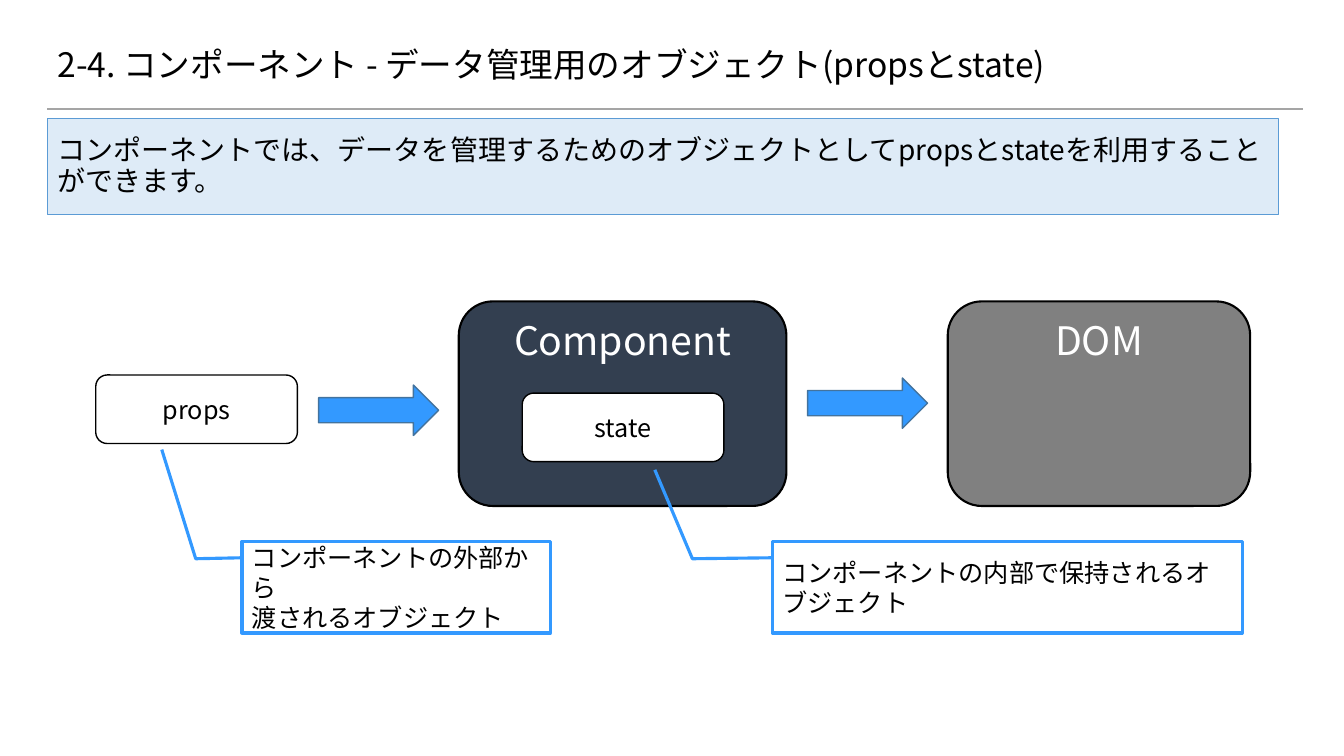
from dataclasses import dataclass

from lxml import etree
from pptx import Presentation, util as u
from pptx.dml.color import RGBColor
from pptx.enum import shapes, text
from pptx.oxml.ns import qn
from pptx.shapes.autoshape import Shape
from pptx.slide import Slide

KIND = shapes.MSO_SHAPE
ANCHOR = text.MSO_ANCHOR
ALIGN = text.PP_ALIGN


@dataclass(frozen=True)
class Theme:
    font: str = "Noto Sans CJK JP"
    black: str = "000000"
    white: str = "FFFFFF"
    rule: str = "A5A5A5"
    accent: str = "3399FF"
    arrow_line: str = "43739E"
    navy: str = "333F50"
    gray: str = "808080"
    lead_fill: str = "DEEBF7"
    lead_line: str = "5B9BD5"
    title: int = 24
    lead: int = 20
    heading: int = 28
    body: int = 18


T = Theme()


@dataclass(frozen=True)
class Style:
    kind: KIND
    fill: str
    line: str
    weight: float
    size: int = T.body
    color: str = T.black
    align: ALIGN = ALIGN.LEFT
    anchor: ANCHOR = ANCHOR.MIDDLE
    spacing: float = 1.0


@dataclass(frozen=True)
class Item:
    style: Style
    box: tuple[float, float, float, float]
    words: str = ""
    adjust: tuple[float, ...] = ()


LEAD = Style(KIND.RECTANGLE, T.lead_fill, T.lead_line, 0.75, T.lead, spacing=0.9)
COMPONENT = Style(KIND.ROUNDED_RECTANGLE, T.navy, T.black, 1.5, T.heading,
                  T.white, ALIGN.CENTER, ANCHOR.TOP)
DOM = Style(KIND.ROUNDED_RECTANGLE, T.gray, T.black, 1.5, T.heading,
            T.white, ALIGN.CENTER, ANCHOR.TOP)
DATA = Style(KIND.ROUNDED_RECTANGLE, T.white, T.black, 1, align=ALIGN.CENTER)
ARROW = Style(KIND.RIGHT_ARROW, T.accent, T.arrow_line, 1)
CALLOUT = Style(KIND.LINE_CALLOUT_2, T.white, T.accent, 2.25)

ITEMS = (
    Item(DATA, (0.95, 3.72, 2, 0.68), "props"),
    Item(ARROW, (3.16, 3.82, 1.19, 0.5)),
    Item(COMPONENT, (4.55, 2.99, 3.25, 2.03), "Component"),
    Item(DATA, (5.18, 3.9, 2, 0.68), "state"),
    Item(DOM, (9.4, 2.99, 3, 2.03), "DOM"),
    Item(LEAD, (0.47, 1.18, 12.21, 0.95),
         "コンポーネントでは、データを管理するためのオブジェクトとしてpropsとstateを利用することができます。"),
    Item(ARROW, (8.01, 3.75, 1.19, 0.5)),
    Item(CALLOUT, (7.66, 5.37, 4.66, 0.91),
         "コンポーネントの内部で保持されるオブジェクト",
         (0.18, 0, 0.19, -0.17, -0.78, -0.25)),
    Item(CALLOUT, (2.4, 5.37, 3.06, 0.91),
         "コンポーネントの外部から\n渡されるオブジェクト",
         (0.18, 0, 0.19, -0.15, -1, -0.26)),
)


def set_all(target: object, values: dict[str, object]) -> None:
    for name, value in values.items():
        setattr(target, name, value)


def write(sp: Shape, words: str, size: int, color: str, align: ALIGN,
          anchor: ANCHOR, spacing: float) -> None:
    tf = sp.text_frame
    tf.text = words
    set_all(tf, {"word_wrap": True, "auto_size": text.MSO_AUTO_SIZE.NONE,
                 "vertical_anchor": anchor})
    for p in tf.paragraphs:
        set_all(p, {"alignment": align, "line_spacing": spacing})
        for r in p.runs:
            set_all(r.font, {"name": T.font, "size": u.Pt(size)})
            r.font.color.rgb = RGBColor.from_string(color)
            ea = etree.SubElement(r.font._element, qn("a:ea"))
            ea.set("typeface", T.font)


def add_item(s: Slide, item: Item) -> None:
    style = item.style
    sp = s.shapes.add_shape(style.kind, *map(u.Inches, item.box))
    sp.shadow.inherit = False
    sp.fill.solid()
    sp.fill.fore_color.rgb = RGBColor.from_string(style.fill)
    sp.line.color.rgb = RGBColor.from_string(style.line)
    sp.line.width = u.Pt(style.weight)
    for i, value in enumerate(item.adjust):
        sp.adjustments[i] = value
    if item.words:
        write(sp, item.words, style.size, style.color, style.align,
              style.anchor, style.spacing)


def add_title(s: Slide) -> None:
    sp = s.shapes.title
    box = zip(("left", "top", "width", "height"), (0.47, 0.37, 11.5, 0.59))
    set_all(sp, {name: u.Inches(value) for name, value in box})
    write(sp, "2-4. コンポーネント - データ管理用のオブジェクト(propsとstate)",
          T.title, T.black, ALIGN.LEFT, ANCHOR.MIDDLE, 0.9)


def add_rule(s: Slide) -> None:
    ends = map(u.Inches, (0.47, 1.08, 12.92, 1.08))
    rule = s.shapes.add_connector(shapes.MSO_CONNECTOR.STRAIGHT, *ends)
    rule.line.color.rgb = RGBColor.from_string(T.rule)
    rule.line.width = u.Pt(1.5)
    etree.SubElement(rule._element.spPr, qn("a:effectLst"))


def main() -> None:
    prs = Presentation()
    set_all(prs, {"slide_width": u.Inches(13.33), "slide_height": u.Inches(7.5)})
    s = prs.slides.add_slide(prs.slide_layouts[5])
    add_title(s)
    add_rule(s)
    for item in ITEMS:
        add_item(s, item)
    prs.save("out.pptx")


if __name__ == "__main__":
    main()
